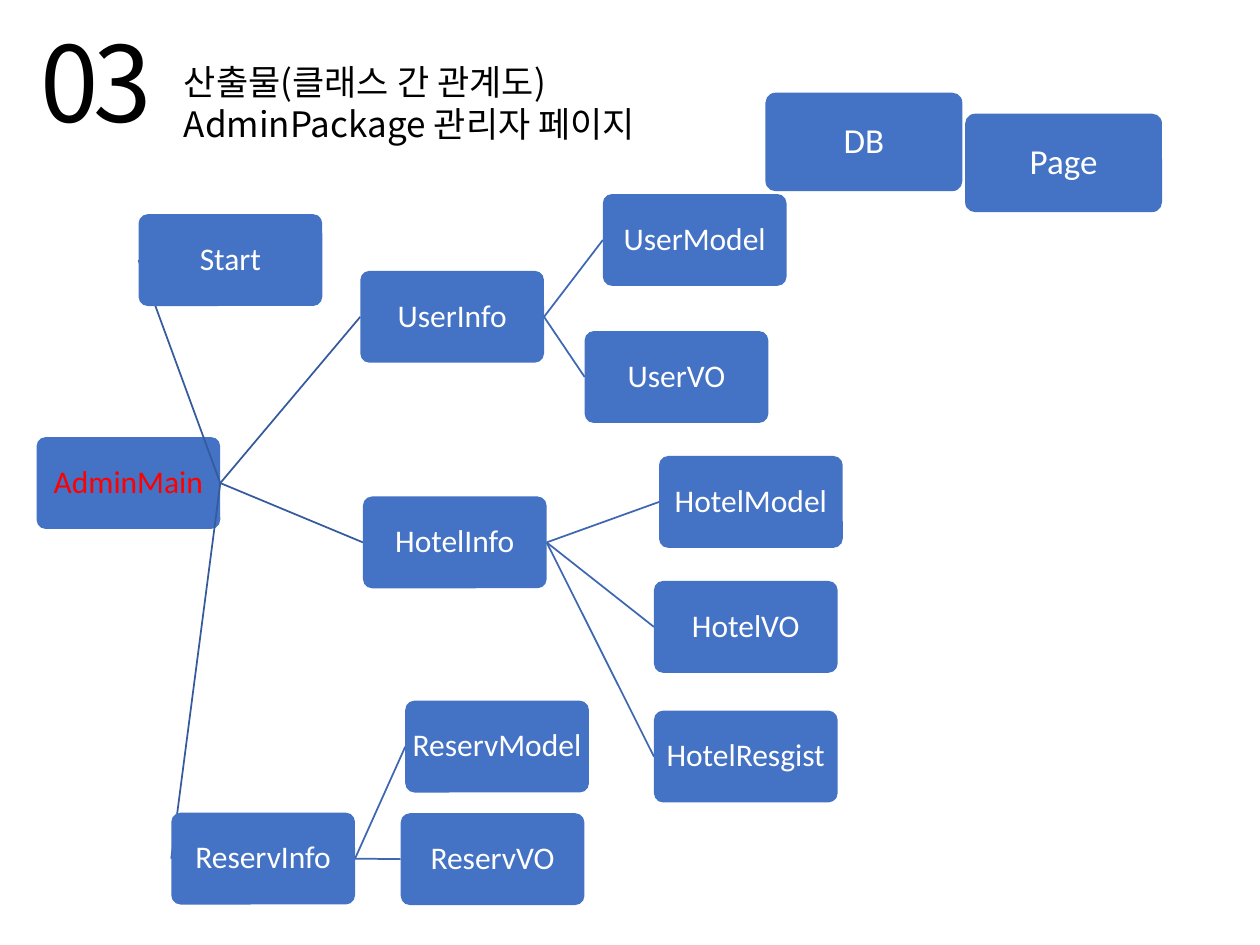
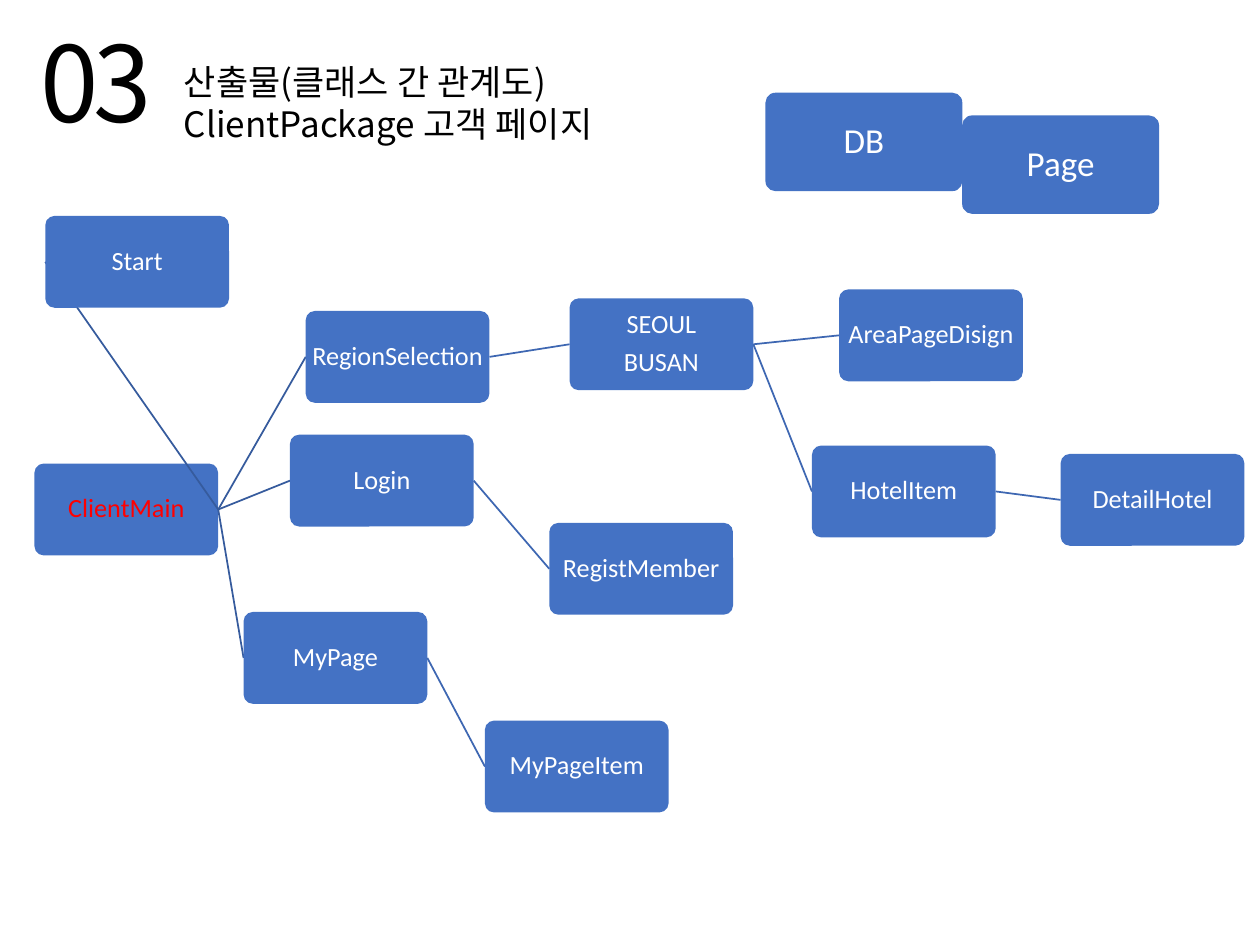
import pptx
import pptx.util
import pptx.dml.color
import pptx.enum.shapes
import pptx.enum.text
import pptx.oxml
import pptx.oxml.ns
from lxml import etree

Pt = pptx.util.Pt
RGB = pptx.dml.color.RGBColor.from_string
qn = pptx.oxml.ns.qn

COLORS = {
    "box": "4472C4",
    "root_link": "365B9D",
    "link": "3E67B2",
    "text": "FFFFFF",
    "root_text": "FF0000",
    "title": "000000",
    "title_outline": "1AB29D",
}
BODY_FONT = "Calibri"
TITLE_FONT = "Noto Sans CJK KR"
NODE_SIZE = (105, 52.5)
LEGEND_SIZE = (112.5, 56.25)
LEGEND_FONT_SIZE = 20

OUTLINE_XML = (
    f'<a:ln {pptx.oxml.ns.nsdecls("a")} w="9525"><a:solidFill>'
    f'<a:srgbClr val="{COLORS["title_outline"]}"><a:alpha val="30000"/></a:srgbClr>'
    "</a:solidFill></a:ln>"
)

# Each node: label, parent label, left, top. Children follow their parent.
DIAGRAMS = [
    {
        "subtitle": "AdminPackage 관리자 페이지",
        "font_size": 18,
        "page_at": (551.5, 65),
        "nodes": [
            ("AdminMain", None, 20.9, 249.8),
            ("Start", "AdminMain", 79.2, 122.4),
            ("UserInfo", "AdminMain", 205.9, 154.8),
            ("UserModel", "UserInfo", 344.5, 110.9),
            ("UserVO", "UserInfo", 334.1, 189.2),
            ("HotelInfo", "AdminMain", 207.4, 283.7),
            ("HotelModel", "HotelInfo", 376.6, 260.6),
            ("HotelResgist", "HotelInfo", 373.7, 406.1),
            ("HotelVO", "HotelInfo", 373.7, 332),
            ("ReservInfo", "AdminMain", 97.9, 464.4),
            ("ReservModel", "ReservInfo", 231.6, 400.4),
            ("ReservVO", "ReservInfo", 229, 464.7),
        ],
    },
    {
        "subtitle": "ClientPackage 고객 페이지",
        "font_size": 15,
        "page_at": (549.8, 66),
        "nodes": [
            ("ClientMain", None, 19.7, 264.9),
            ("Start", "ClientMain", 25.9, 123.4),
            ("RegionSelection", "ClientMain", 174.7, 177.7),
            ("SEOUL\nBUSAN", "RegionSelection", 325.5, 170.5),
            ("AreaPageDisign", "SEOUL\nBUSAN", 479.5, 165.4),
            ("HotelItem", "SEOUL\nBUSAN", 464, 254.6),
            ("DetailHotel", "HotelItem", 606.1, 259.4),
            ("Login", "ClientMain", 165.7, 248.4),
            ("RegistMember", "Login", 313.9, 298.8),
            ("MyPage", "ClientMain", 139.2, 349.7),
            ("MyPageItem", "MyPage", 277.1, 411.8),
        ],
    },
]


def add_heading(s, text, left, top, width, height, size, spacing=0):
    """Add outlined heading text."""
    sp = s.shapes.add_textbox(Pt(left), Pt(top), Pt(width), Pt(height))
    tf = sp.text_frame
    tf.word_wrap = True
    tf.auto_size = pptx.enum.text.MSO_AUTO_SIZE.SHAPE_TO_FIT_TEXT
    tf.text = text
    for p in tf.paragraphs:
        p.font.size = Pt(size)
        p.font.color.rgb = RGB(COLORS["title"])
        p.font.name = TITLE_FONT
        props = p._p.pPr.find(qn("a:defRPr"))
        props.insert(0, pptx.oxml.parse_xml(OUTLINE_XML))
        etree.SubElement(props, qn("a:ea")).set("typeface", TITLE_FONT)
        if spacing:
            props.set("spc", str(spacing * 100))


def add_box(s, text, left, top, box_size, font_size, color):
    sp = s.shapes.add_shape(
        pptx.enum.shapes.MSO_SHAPE.ROUNDED_RECTANGLE,
        Pt(left), Pt(top), Pt(box_size[0]), Pt(box_size[1]))
    sp.adjustments[0] = 0.1
    sp.shadow.inherit = False
    sp.fill.solid()
    sp.fill.fore_color.rgb = RGB(COLORS["box"])
    sp.line.fill.background()
    tf = sp.text_frame
    tf.word_wrap = True
    tf.vertical_anchor = pptx.enum.text.MSO_ANCHOR.MIDDLE
    tf.margin_left = tf.margin_right = tf.margin_top = tf.margin_bottom = Pt(2)
    tf.text = text
    for p in tf.paragraphs:
        p.alignment = pptx.enum.text.PP_ALIGN.CENTER
        p.line_spacing = 0.9
        p.space_after = Pt(0.35 * font_size)
        p.font.size = Pt(font_size)
        p.font.name = BODY_FONT
        p.font.color.rgb = RGB(COLORS[color])
    return sp


prs = pptx.Presentation()
prs.slide_width, prs.slide_height = Pt(720), Pt(540)

for diagram in DIAGRAMS:
    s = prs.slides.add_slide(prs.slide_layouts[6])
    add_heading(s, "산출물(클래스 간 관계도)\n" + diagram["subtitle"], 98, 31, 320.4, 55.4, 20)
    add_heading(s, "03", 15.8, 6.5, 98, 80, 60, spacing=-3)

    boxes = {}
    root = diagram["nodes"][0][0]
    for label, parent, left, top in diagram["nodes"]:
        # The link is added before its child so that the child covers it.
        if parent:
            link = s.shapes.add_connector(
                pptx.enum.shapes.MSO_CONNECTOR.STRAIGHT, 0, 0, 0, 0)
            link.line.width = Pt(1)
            link.line.color.rgb = RGB(COLORS["root_link" if parent == root else "link"])
            etree.SubElement(link._element.spPr, qn("a:effectLst"))
        boxes[label] = add_box(s, label, left, top, NODE_SIZE, diagram["font_size"],
                               "text" if parent else "root_text")
        if parent:
            link.begin_connect(boxes[parent], 3)
            link.end_connect(boxes[label], 1)

    for label, (left, top) in (("DB", (437.4, 53)), ("Page", diagram["page_at"])):
        add_box(s, label, left, top, LEGEND_SIZE, LEGEND_FONT_SIZE, "text")

prs.save("out.pptx")
